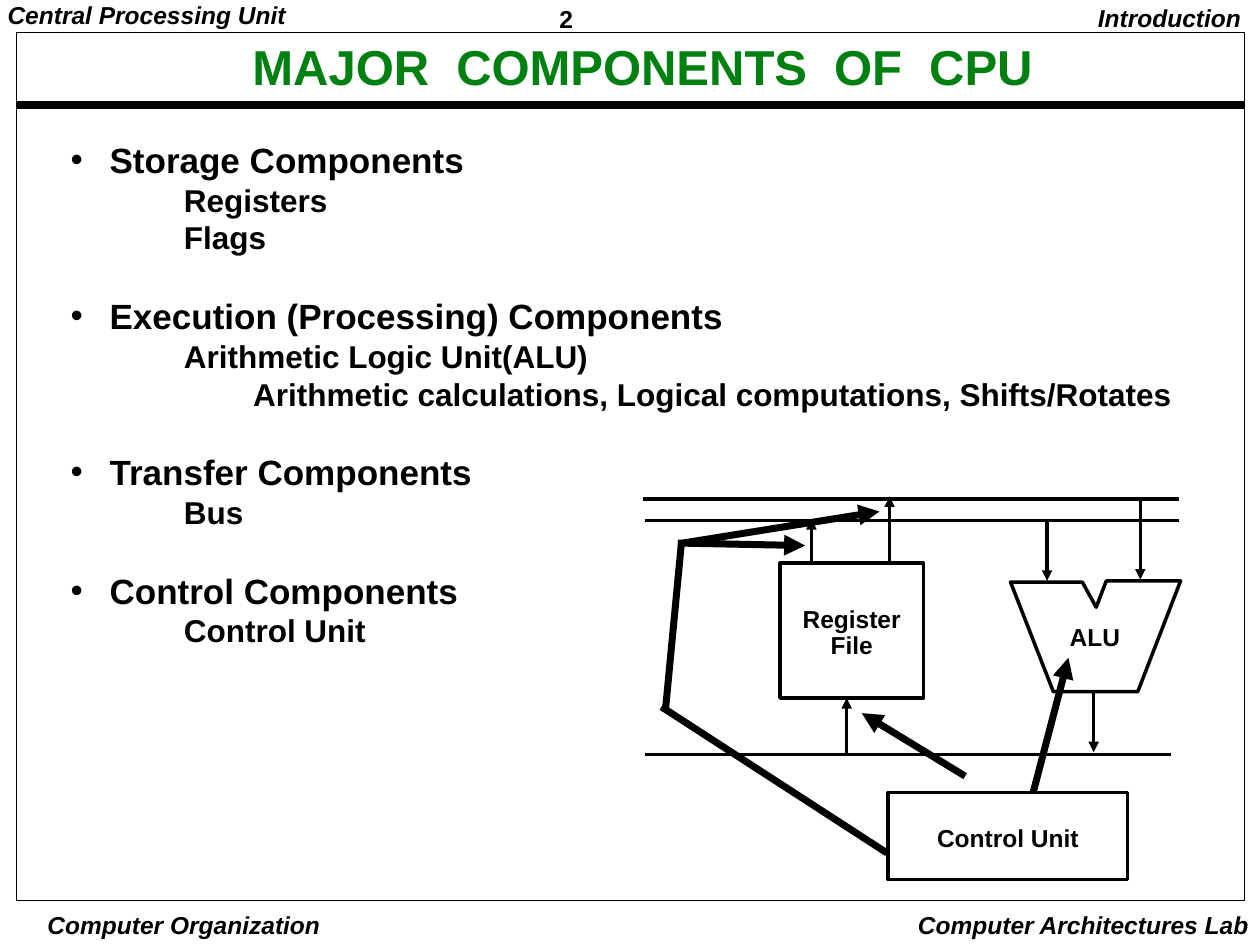
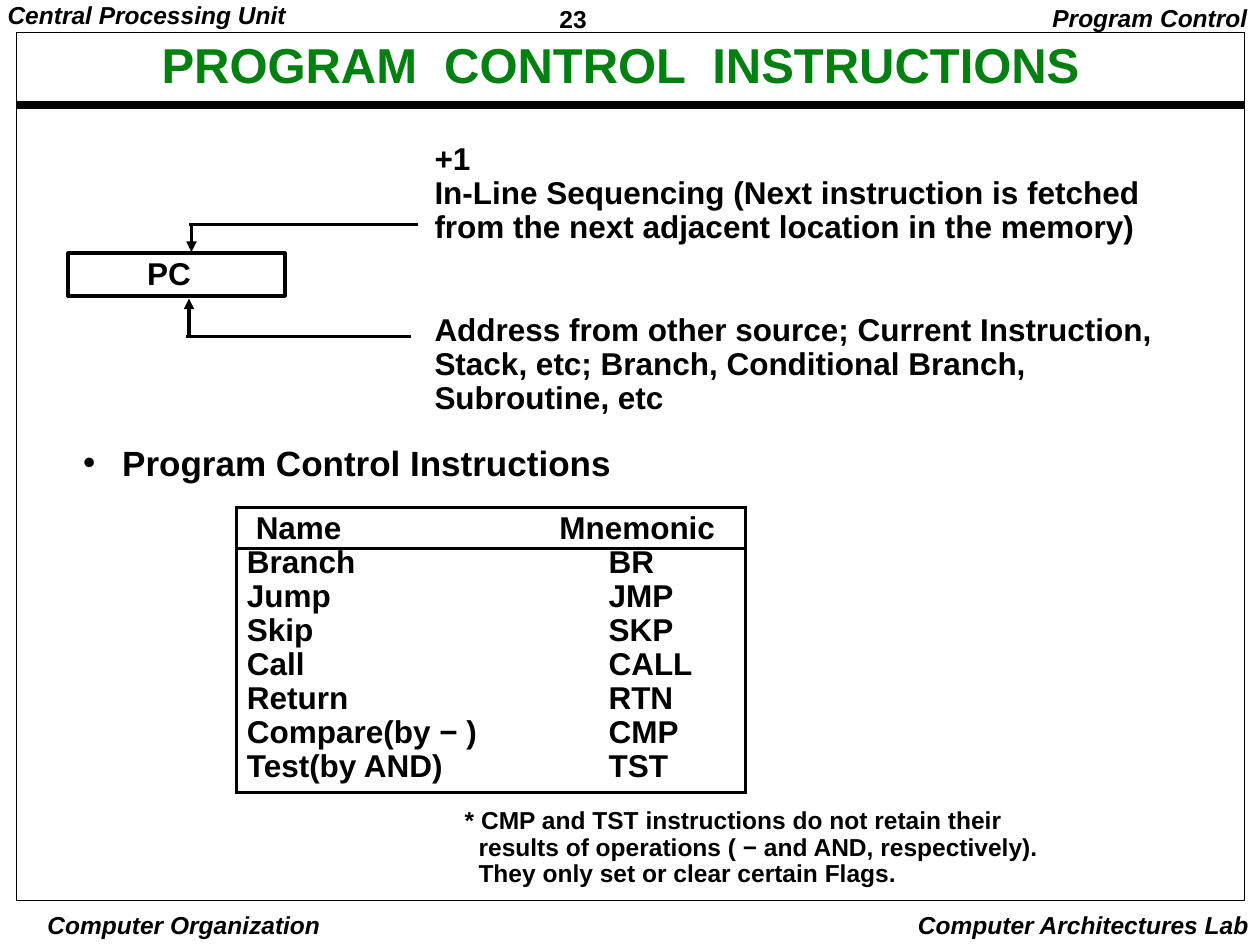
from lxml.etree import SubElement
from pptx import Presentation
from pptx.dml.color import RGBColor
from pptx.enum.shapes import MSO_CONNECTOR, MSO_SHAPE
from pptx.enum.text import MSO_ANCHOR, MSO_AUTO_SIZE, PP_ALIGN
from pptx.oxml.ns import qn
from pptx.util import Inches, Pt

BLACK = "000000"
GREEN = "008011"
BASE_FONT = {"name": "Arial", "size": Pt(14), "bold": True, "italic": False}
ITALIC = {"italic": True}
MEDIUM = {"size": Pt(18)}
LARGE = {"size": Pt(20)}
TITLE_FONT = {"size": Pt(28)}
TIGHT = 0.9
SINGLE = 1.0
BULLET_INDENT = 0.31
LEVEL_INDENTS = [BULLET_INDENT, 0.9, 1.45]


def color(hex_value):
    return RGBColor.from_string(hex_value)


def inches(*values):
    return [Inches(value) for value in values]


def apply_format(target, values):
    for name, value in values.items():
        setattr(target, name, value)


def write_para(para, text, font=None, hue=BLACK, align=PP_ALIGN.LEFT, spacing=TIGHT, before=0):
    apply_format(para, {"alignment": align, "line_spacing": spacing,
                        "space_before": Pt(before), "space_after": Pt(0)})
    span = para.add_run()
    span.text = text
    apply_format(span.font, {**BASE_FONT, **(font or {})})
    span.font.color.rgb = color(hue)


def indent_para(para, left, hanging=0):
    properties = para._p.get_or_add_pPr()
    properties.set("marL", str(Inches(left)))
    properties.set("indent", str(-Inches(hanging)))
    return properties


def next_para(frame, index):
    return frame.paragraphs[0] if index == 0 else frame.add_paragraph()


def set_margins(frame, side, end):
    apply_format(frame, {"margin_left": Inches(side), "margin_right": Inches(side),
                         "margin_top": Inches(end), "margin_bottom": Inches(end)})


def add_text(page, place, lines, font=None, align=PP_ALIGN.LEFT,
             margins=(0.1, 0.05), gap=0, indent=0):
    box = page.shapes.add_textbox(*inches(*place))
    frame = box.text_frame
    apply_format(frame, {"word_wrap": True, "auto_size": MSO_AUTO_SIZE.NONE})
    set_margins(frame, *margins)
    for index, text in enumerate(lines):
        para = next_para(frame, index)
        last = index == len(lines) - 1
        write_para(para, text, font, align=align, before=gap if last else 0)
        if index and indent:
            indent_para(para, indent)


def style_outline(shape, width):
    shape.shadow.inherit = False
    shape.fill.background()
    shape.line.color.rgb = color(BLACK)
    shape.line.width = Pt(width)


def add_frame(page, place, width=2):
    style_outline(page.shapes.add_shape(MSO_SHAPE.RECTANGLE, *inches(*place)), width)


def add_outline(page, points, width=2):
    corners = [tuple(inches(*point)) for point in points]
    builder = page.shapes.build_freeform(*corners[0], scale=1.0)
    builder.add_line_segments(corners[1:], close=True)
    style_outline(builder.convert_to_shape(), width)


def add_line(page, ends, width=2, arrow=False):
    line = page.shapes.add_connector(MSO_CONNECTOR.STRAIGHT, *inches(*ends))
    line.line.color.rgb = color(BLACK)
    line.line.width = Pt(width)
    if arrow:
        SubElement(line.line._get_or_add_ln(), qn("a:tailEnd"), type="triangle")
    SubElement(line._element.spPr, qn("a:effectLst"))


def place_shape(shape, place):
    apply_format(shape, dict(zip(("left", "top", "width", "height"), inches(*place))))


def set_title(page, place, text):
    title = page.shapes.title
    place_shape(title, place)
    frame = title.text_frame
    apply_format(frame, {"vertical_anchor": MSO_ANCHOR.MIDDLE, "auto_size": MSO_AUTO_SIZE.NONE})
    set_margins(frame, 0.07, 0.03)
    write_para(frame.paragraphs[0], text, TITLE_FONT, GREEN, PP_ALIGN.CENTER)


def set_body(page, place, items, spacing):
    body = page.placeholders[1]
    place_shape(body, place)
    frame = body.text_frame
    frame.auto_size = MSO_AUTO_SIZE.NONE
    for index, (level, text) in enumerate(items):
        para = next_para(frame, index)
        starts_group = level == 0 and index > 0
        write_para(para, text, MEDIUM if level else LARGE, spacing=spacing,
                   before=22 if starts_group else 0)
        properties = indent_para(para, LEVEL_INDENTS[level], 0 if level else BULLET_INDENT)
        if level:
            SubElement(properties, qn("a:buNone"))
        else:
            SubElement(properties, qn("a:buChar"), char="•")


def add_page(deck, number, section, section_right, title, title_place):
    page = deck.slides.add_slide(deck.slide_layouts[1])
    add_text(page, (4.37, 0.03, 1.08, 0.27), [number], margins=(0.07, 0.03))
    add_text(page, (-0.01, 0, 2.8, 0.27), ["Central Processing Unit"], ITALIC,
             margins=(0.07, 0.03))
    add_text(page, (0.06, 7.24, 2.8, 0.25), ["Computer Organization"], ITALIC,
             PP_ALIGN.CENTER, margins=(0.03, 0.01))
    add_text(page, (6.81, 7.23, 3.2, 0.26), ["Computer Architectures Lab"], ITALIC,
             PP_ALIGN.RIGHT, margins=(0.1, 0.02))
    add_line(page, (0.13, 0.83, 9.87, 0.83), 4.5)
    add_frame(page, (0.13, 0.26, 9.75, 6.89), 0.5)
    add_text(page, (section_right - 2.2, 0, 2.2, 0.31), [section], ITALIC, PP_ALIGN.RIGHT)
    set_title(page, title_place, title)
    return page


def add_borders(cell, shown):
    properties = cell._tc.get_or_add_tcPr()
    for side in "LRTB":
        line = SubElement(properties, qn(f"a:ln{side}"), w=str(Pt(2)))
        if side in shown:
            fill = SubElement(line, qn("a:solidFill"))
            SubElement(fill, qn("a:srgbClr"), val=BLACK)
        else:
            SubElement(line, qn("a:noFill"))


def add_mnemonic_table(page, rows):
    last = len(rows) - 1
    graphic = page.shapes.add_table(len(rows), 2, *inches(1.88, 4.03, 4.04, 2.26))
    table = graphic.table
    apply_format(table, {"first_row": False, "horz_banding": False})
    for column, width in zip(table.columns, (2.5, 1.54)):
        column.width = Inches(width)
    for row_index, texts in enumerate(rows):
        header = row_index == 0
        table.rows[row_index].height = Inches(0.32 if row_index in (0, last) else 0.27)
        lefts = (0.15, 0.06) if header else (0.08, 0.45)
        for column_index, text in enumerate(texts):
            cell = table.cell(row_index, column_index)
            sides = "LR"[column_index]
            sides += "TB" if header else ""
            sides += "T" if row_index == 1 else ""
            sides += "B" if row_index == last else ""
            add_borders(cell, sides)
            cell.fill.background()
            apply_format(cell, {"margin_left": Inches(lefts[column_index]), "margin_right": 0,
                                "margin_top": Inches(0.05 if header else 0),
                                "margin_bottom": 0, "vertical_anchor": MSO_ANCHOR.TOP})
            write_para(cell.text_frame.paragraphs[0], text, MEDIUM)


def add_cpu_diagram(page):
    add_frame(page, (6.19, 4.47, 1.14, 1.07))
    add_frame(page, (7.05, 6.29, 1.9, 0.69))
    add_outline(page, [(8.02, 4.62), (8.59, 4.62), (8.7, 4.82), (8.78, 4.61),
                       (9.37, 4.61), (9.03, 5.49), (8.36, 5.49)])
    for label, place in [(["Register", "File"], (6.19, 4.77, 1.14, 0.52)),
                         (["ALU"], (8.29, 4.91, 0.8, 0.31)),
                         (["Control Unit"], (7.05, 6.51, 1.9, 0.31))]:
        add_text(page, place, label, align=PP_ALIGN.CENTER, margins=(0, 0.05))
    for left, right, height in [(5.1, 9.36, 3.96), (5.12, 9.36, 4.13), (5.12, 9.29, 5.99)]:
        add_line(page, (left, height, right, height))
    for across, start, end in [(9.05, 3.98, 4.6), (8.31, 4.13, 4.61), (8.68, 5.49, 5.97),
                               (6.72, 5.99, 5.54), (7.06, 4.47, 3.94), (6.44, 4.48, 4.12)]:
        add_line(page, (across, start, across, end), arrow=True)
    for ends in [(7.04, 6.77, 5.25, 5.61), (5.41, 4.29, 5.28, 5.65)]:
        add_line(page, ends, 4)
    for ends in [(7.66, 6.16, 6.84, 5.66), (8.2, 6.29, 8.48, 5.22),
                 (5.38, 4.31, 6.39, 4.33), (5.42, 4.31, 6.98, 4.06)]:
        add_line(page, ends, 4, arrow=True)


def add_counter_diagram(page):
    add_frame(page, (0.54, 2.01, 1.72, 0.34))
    add_text(page, (1.07, 2, 0.9, 0.37), ["PC"], MEDIUM)
    for across, right, height, tip in [(1.52, 3.32, 1.78, 2), (1.5, 3.26, 2.67, 2.37)]:
        add_line(page, (right, height, across - 0.02, height))
        add_line(page, (across, height, across, tip), arrow=True)
    add_text(page, (3.35, 1.09, 6.31, 2.26), [
        "+1",
        "In-Line Sequencing (Next instruction is fetched from the next adjacent location "
        "in the memory)",
        "Address from other source; Current Instruction, Stack, etc; Branch, Conditional "
        "Branch, Subroutine, etc"], MEDIUM, gap=39)


def build_components(deck):
    page = add_page(deck, "2", "Introduction", 9.95, "MAJOR  COMPONENTS  OF  CPU",
                    (1.06, 0.2, 8.08, 0.71))
    set_body(page, (0.46, 1.05, 8.99, 4.13), [
        (0, "Storage Components"),
        (1, "Registers"),
        (1, "Flags"),
        (0, "Execution (Processing) Components"),
        (1, "Arithmetic Logic Unit(ALU)"),
        (2, "Arithmetic calculations, Logical computations, Shifts/Rotates"),
        (0, "Transfer Components"),
        (1, "Bus"),
        (0, "Control Components"),
        (1, "Control Unit")], SINGLE)
    add_cpu_diagram(page)


def build_program_control(deck):
    page = add_page(deck, "23", "Program Control", 10, "PROGRAM  CONTROL  INSTRUCTIONS",
                    (0.27, 0.23, 9.31, 0.61))
    add_counter_diagram(page)
    set_body(page, (0.56, 3.49, 5.65, 0.4), [(0, "Program Control Instructions")], TIGHT)
    add_mnemonic_table(page, [
        ("Name", "Mnemonic"),
        ("Branch", "BR"),
        ("Jump", "JMP"),
        ("Skip", "SKP"),
        ("Call", "CALL"),
        ("Return", "RTN"),
        ("Compare(by − )", "CMP"),
        ("Test(by AND)", "TST")])
    add_text(page, (3.59, 6.37, 5.66, 0.73), [
        "* CMP and TST instructions do not retain their",
        "results of operations ( − and AND, respectively).",
        "They only set or clear certain Flags."], indent=0.11)


def main():
    deck = Presentation()
    deck.slide_width, deck.slide_height = inches(10, 7.5)
    build_components(deck)
    build_program_control(deck)
    deck.save("out.pptx")


if __name__ == "__main__":
    main()
